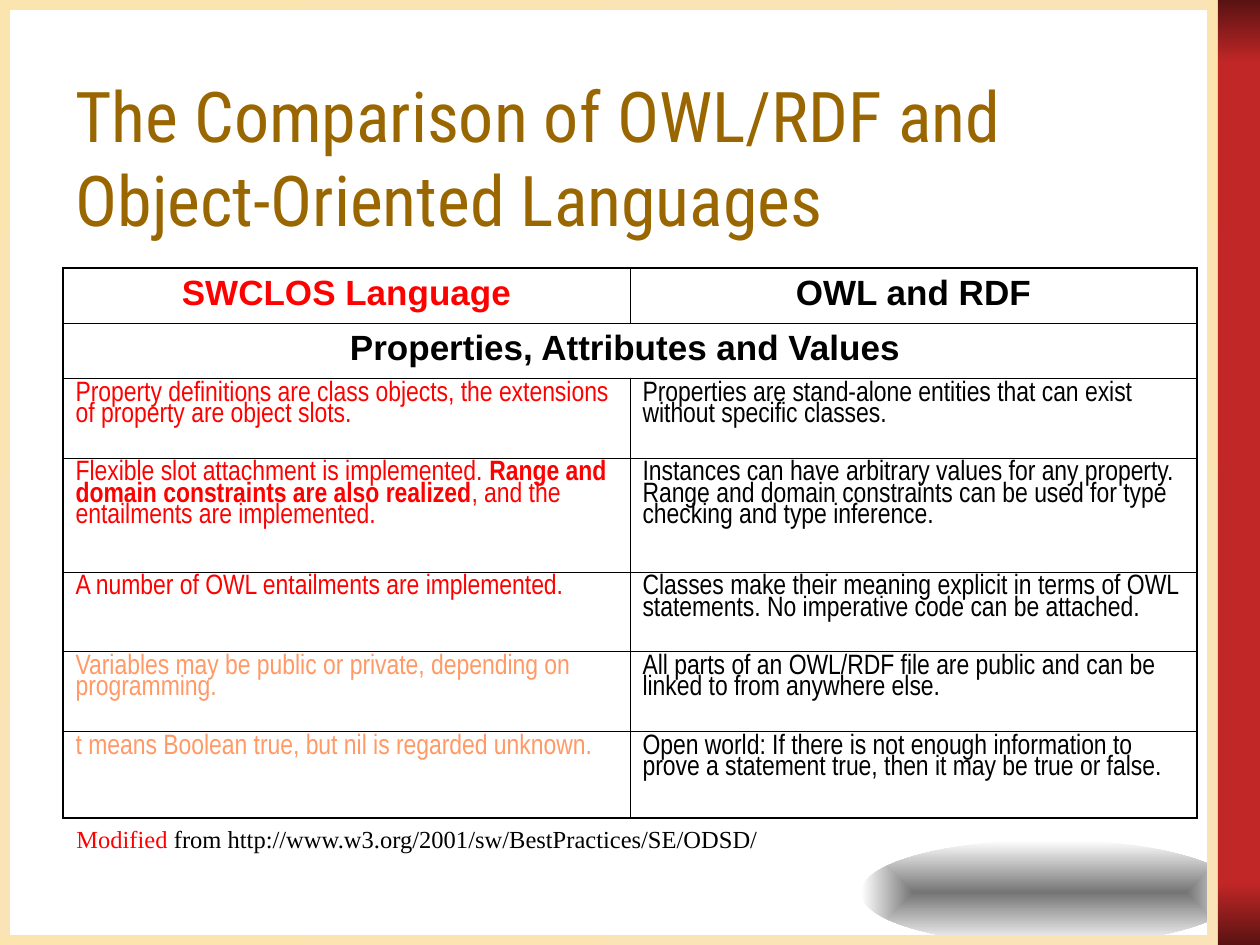
from lxml import etree
from pptx import Presentation
from pptx import util as u
from pptx.dml.color import RGBColor
from pptx.enum import shapes, text
from pptx.oxml.ns import qn

PX = 914400 // 126
HUE = dict(red="FF0000", black="000000", peach="FF9966", brown="996600",
           sand="FBE4AE", cream="FAE3B7", brick="C12727", dark="591212",
           gray="757575", white="FFFFFF")


def write(frame, runs, size, font, hue="black", bold=False,
          align=text.PP_ALIGN.LEFT, lead=None):
    para = frame.paragraphs[0]
    para.alignment = align
    if lead:
        para.line_spacing = lead
    for part in [(runs,)] if isinstance(runs, str) else runs:
        run = para.add_run()
        run.text = part[0]
        look = {"hue": hue, "bold": bold} | (part[1] if len(part) > 1 else {})
        run.font.size = u.Pt(size)
        run.font.name = font
        run.font.bold = look["bold"]
        run.font.color.rgb = RGBColor.from_string(HUE[look["hue"]])


def paint(kind, box, first, last=None, angle=270):
    shape = slide.shapes.add_shape(kind, *[n * PX for n in box])
    shape.shadow.inherit = False
    shape.line.fill.background()
    if last is None:
        shape.fill.solid()
        shape.fill.fore_color.rgb = RGBColor.from_string(HUE[first])
        return shape
    shape.fill.gradient()
    shape.fill.gradient_angle = angle
    for stop, hue in zip(shape.fill.gradient_stops, (first, last)):
        stop.color.rgb = RGBColor.from_string(HUE[hue])
    return shape


prs = Presentation()
prs.slide_width = 1260 * PX
prs.slide_height = 945 * PX
slide = prs.slides.add_slide(prs.slide_layouts[5])

RECT = shapes.MSO_SHAPE.RECTANGLE
oval = paint(shapes.MSO_SHAPE.OVAL, (861, 840, 378, 105), "gray", "white")
grad = oval.fill._xPr.find(qn("a:gradFill"))
grad.remove(grad.find(qn("a:lin")))
way = etree.SubElement(grad, qn("a:path"), path="rect")
etree.SubElement(way, qn("a:fillToRect"), l="50000", t="50000", r="50000", b="50000")

paint(RECT, (1207, 0, 11, 945), "sand", "cream")
paint(RECT, (1218, 0, 42, 945), "brick")
paint(RECT, (1218, 0, 42, 63), "dark", "brick")
paint(RECT, (1218, 883, 42, 62), "brick", "dark")
paint(RECT, (0, 0, 10, 945), "sand", "cream")
for top in (0, 935):
    paint(RECT, (0, top, 1207, 10), "cream", "sand", 180)

title = slide.shapes.title
title.left, title.top, title.width, title.height = [n * PX for n in (63, 76, 1134, 161)]
title.text_frame.auto_size = text.MSO_AUTO_SIZE.NONE
title.text_frame.vertical_anchor = text.MSO_ANCHOR.MIDDLE
write(title.text_frame, "The Comparison of OWL/RDF and Object-Oriented Languages",
      40, "Roboto Condensed", "brown")

rows = [
    (55, "red", "SWCLOS Language", "OWL and RDF"),
    (55, "black", "Properties, Attributes and Values ", None),
    (80, "red",
     "Property definitions are class objects, the extensions of property are object slots.",
     "Properties are stand-alone entities that can exist without specific classes."),
    (114, "red",
     [("Flexible slot attachment is implemented. ",),
      ("Range and domain constraints are also realized", {"bold": True}),
      (", and the entailments are implemented.",)],
     "Instances can have arbitrary values for any property. Range and domain "
     "constraints can be used for type checking and type inference."),
    (80, "red", "A number of OWL entailments are implemented.",
     "Classes make their meaning explicit in terms of OWL statements. "
     "No imperative code can be attached."),
    (80, "peach", "Variables may be public or private, depending on programming.",
     "All parts of an OWL/RDF file are public and can be linked to from anywhere else."),
    (86, "peach", "t means Boolean true, but nil is regarded unknown.",
     "Open world: If there is not enough information to prove a statement true, "
     "then it may be true or false."),
]
high = sum(row[0] for row in rows)
table = slide.shapes.add_table(len(rows), 2, 63 * PX, 268 * PX, 1134 * PX, high * PX).table
table.first_row = table.horz_banding = False
table.cell(1, 0).merge(table.cell(1, 1))
last = len(rows) - 1
for r, (tall, hue, *pair) in enumerate(rows):
    table.rows[r].height = tall * PX
    for c, words in enumerate(pair):
        cell = table.cell(r, c)
        cell.margin_left = cell.margin_right = u.Inches(0.1)
        cell.margin_top = cell.margin_bottom = u.Inches(0.05)
        props = cell._tc.get_or_add_tcPr()
        edges = {"L": c == 0, "R": c == 1 or r == 1, "T": r == 0, "B": r == last}
        for side, outer in edges.items():
            line = etree.SubElement(props, qn("a:ln" + side),
                                    w=str(u.Pt(1.08 if outer else 0.45)))
            fill = etree.SubElement(line, qn("a:solidFill"))
            etree.SubElement(fill, qn("a:srgbClr"), val=HUE["black"])
        cell.fill.background()
        if words is None:
            continue
        tone = "black" if c else hue
        if r < 2:
            write(cell.text_frame, words, 20, "Arial", tone, True, text.PP_ALIGN.CENTER)
        else:
            write(cell.text_frame, words, 16, "Arial Narrow", tone, lead=0.8)

note = slide.shapes.add_textbox(64 * PX, 818 * PX, 708 * PX, 43 * PX).text_frame
note.word_wrap = False
note.auto_size = text.MSO_AUTO_SIZE.SHAPE_TO_FIT_TEXT
write(note, [("Modified", {"hue": "red"}),
             (" from http://www.w3.org/2001/sw/BestPractices/SE/ODSD/",)],
      14, "Times New Roman")

prs.save("out.pptx")
